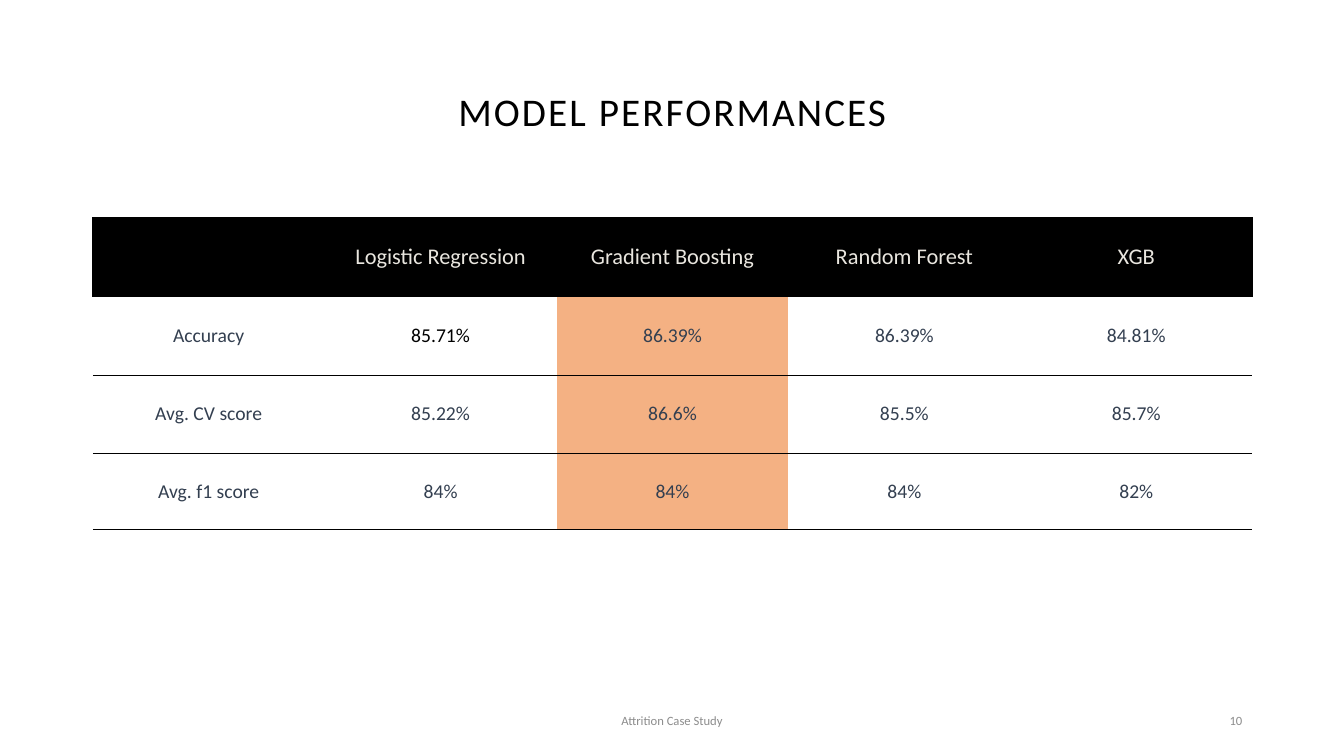
from lxml.etree import SubElement
from pptx import Presentation
from pptx.dml.color import RGBColor
from pptx.enum.text import MSO_ANCHOR, PP_ALIGN
from pptx.oxml.ns import qn
from pptx.util import Inches, Pt

SLIDE_W, SLIDE_H = 13.33, 7.5
MARGIN = 0.92
CONTENT_W = 11.5
TABLE_TOP = 2.16
ROW_HEIGHTS = [0.78, 0.78, 0.78, 0.75, 0.78]
FOOTER_TOP, FOOTER_H = 6.95, 0.4

COLORS = {
    "black": "000000",
    "white": "FFFFFF",
    "cream": "E9E6DF",
    "slate": "333F50",
    "orange": "F4B183",
    "gray": "8C8C8C",
}
FORMATS = {
    "title": {"size": Pt(28), "color": "black"},
    "header": {"size": Pt(16), "color": "cream"},
    "body": {"size": Pt(14), "color": "slate"},
    "body_dark": {"size": Pt(14), "color": "black"},
    "footer": {"size": Pt(9), "color": "gray"},
}
SCORES = [
    ["", "Logistic Regression", "Gradient Boosting", "Random Forest", "XGB"],
    ["Accuracy", "85.71%", "86.39%", "86.39%", "84.81%"],
    ["Avg. CV score", "85.22%", "86.6%", "85.5%", "85.7%"],
    ["Avg. f1 score", "84%", "84%", "84%", "82%"],
    [""] * 5,
]
BEST_COLUMN = 2
LAST_SCORE_ROW = 3


def rgb(name):
    return RGBColor.from_string(COLORS[name])


def write(tf, text, style, align=PP_ALIGN.CENTER):
    p = tf.paragraphs[0]
    p.alignment = align
    r = p.add_run()
    r.text = text
    fmt = FORMATS[style]
    for name, value in {"name": "Calibri", "size": fmt["size"]}.items():
        setattr(r.font, name, value)
    r.font.color.rgb = rgb(fmt["color"])
    return p, r


def add_text(s, box, text, style, align=PP_ALIGN.CENTER):
    tf = s.shapes.add_textbox(*map(Inches, box)).text_frame
    tf.word_wrap = True
    tf.vertical_anchor = MSO_ANCHOR.MIDDLE
    return write(tf, text, style, align)


def set_borders(cell, ruled):
    """Draw a thin black line on the ruled sides (of L, R, T, B) only."""
    tcPr = cell._tc.get_or_add_tcPr()
    for side in "LRTB":
        ln = SubElement(tcPr, qn(f"a:ln{side}"), w=str(Pt(0.5)))
        if side in ruled:
            fill = SubElement(ln, qn("a:solidFill"))
            SubElement(fill, qn("a:srgbClr"), val=COLORS["black"])
        else:
            SubElement(ln, qn("a:noFill"))


def ruled_sides(row, col):
    if row > LAST_SCORE_ROW:
        return "T"
    outer = {0: "L", len(SCORES[0]) - 1: "R"}
    return "TB" + (outer.get(col, "") if row == 0 else "")


def cell_look(row, col):
    """Return the fill colour and the text format of a cell."""
    if row == 0:
        return "black", "header"
    fill = "orange" if col == BEST_COLUMN and row <= LAST_SCORE_ROW else "white"
    return fill, "body_dark" if (row, col) == (1, 1) else "body"


def add_score_table(s):
    cols = len(SCORES[0])
    box = (MARGIN, TABLE_TOP, CONTENT_W, sum(ROW_HEIGHTS))
    table = s.shapes.add_table(len(SCORES), cols, *map(Inches, box)).table
    table.first_row = table.horz_banding = False
    for column in table.columns:
        column.width = Inches(CONTENT_W / cols)
    for row, (height, texts) in enumerate(zip(ROW_HEIGHTS, SCORES)):
        table.rows[row].height = Inches(height)
        for col, text in enumerate(texts):
            cell = table.cell(row, col)
            cell.vertical_anchor = MSO_ANCHOR.MIDDLE
            set_borders(cell, ruled_sides(row, col))
            fill, style = cell_look(row, col)
            cell.fill.solid()
            cell.fill.fore_color.rgb = rgb(fill)
            if text:
                write(cell.text_frame, text, style)


def main():
    prs = Presentation()
    prs.slide_width, prs.slide_height = Inches(SLIDE_W), Inches(SLIDE_H)
    s = prs.slides.add_slide(prs.slide_layouts[6])

    p, r = add_text(s, (MARGIN, 0.4, CONTENT_W, 1.45), "MODEL PERFORMANCES", "title")
    p.line_spacing = 0.9
    r.font._element.set("spc", "150")

    add_score_table(s)

    footer_w, number_w = 4.5, 3
    add_text(s, ((SLIDE_W - footer_w) / 2, FOOTER_TOP, footer_w, FOOTER_H),
             "Attrition Case Study", "footer")
    add_text(s, (MARGIN + CONTENT_W - number_w, FOOTER_TOP, number_w, FOOTER_H),
             "10", "footer", PP_ALIGN.RIGHT)
    prs.save("out.pptx")


if __name__ == "__main__":
    main()
